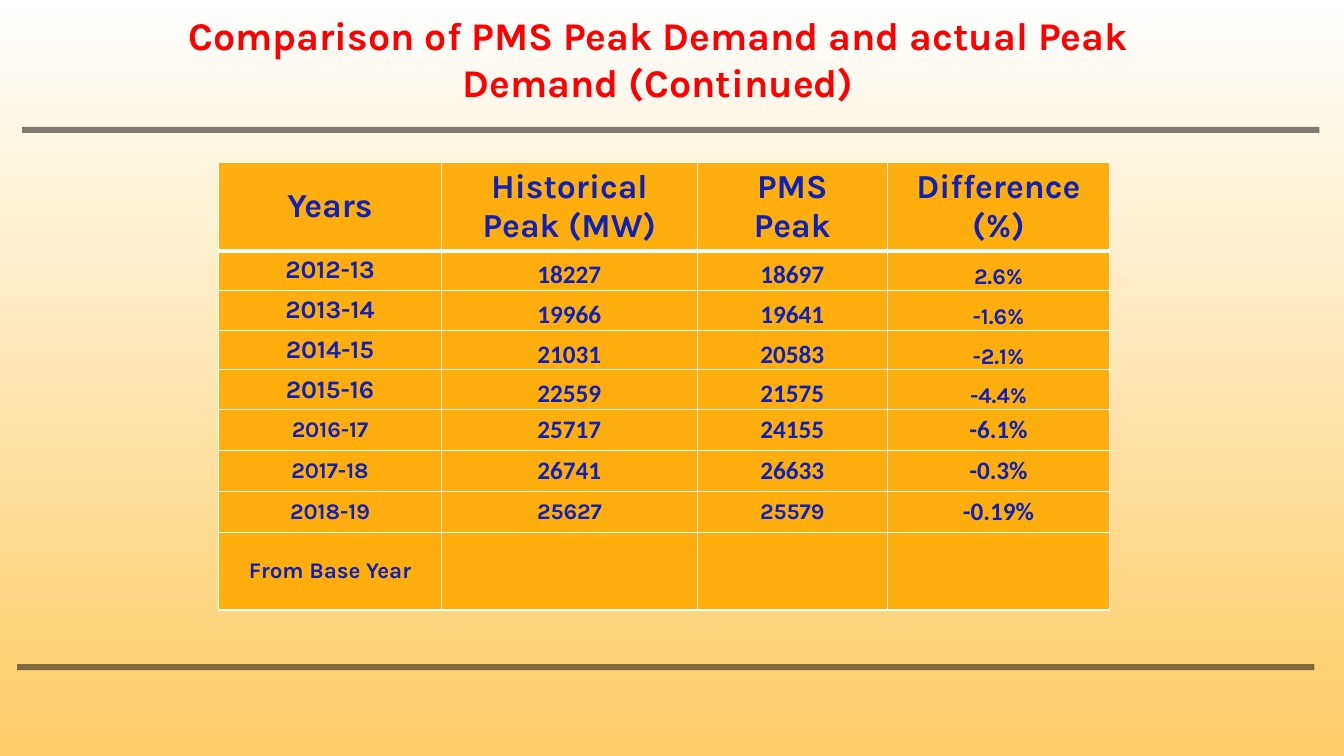
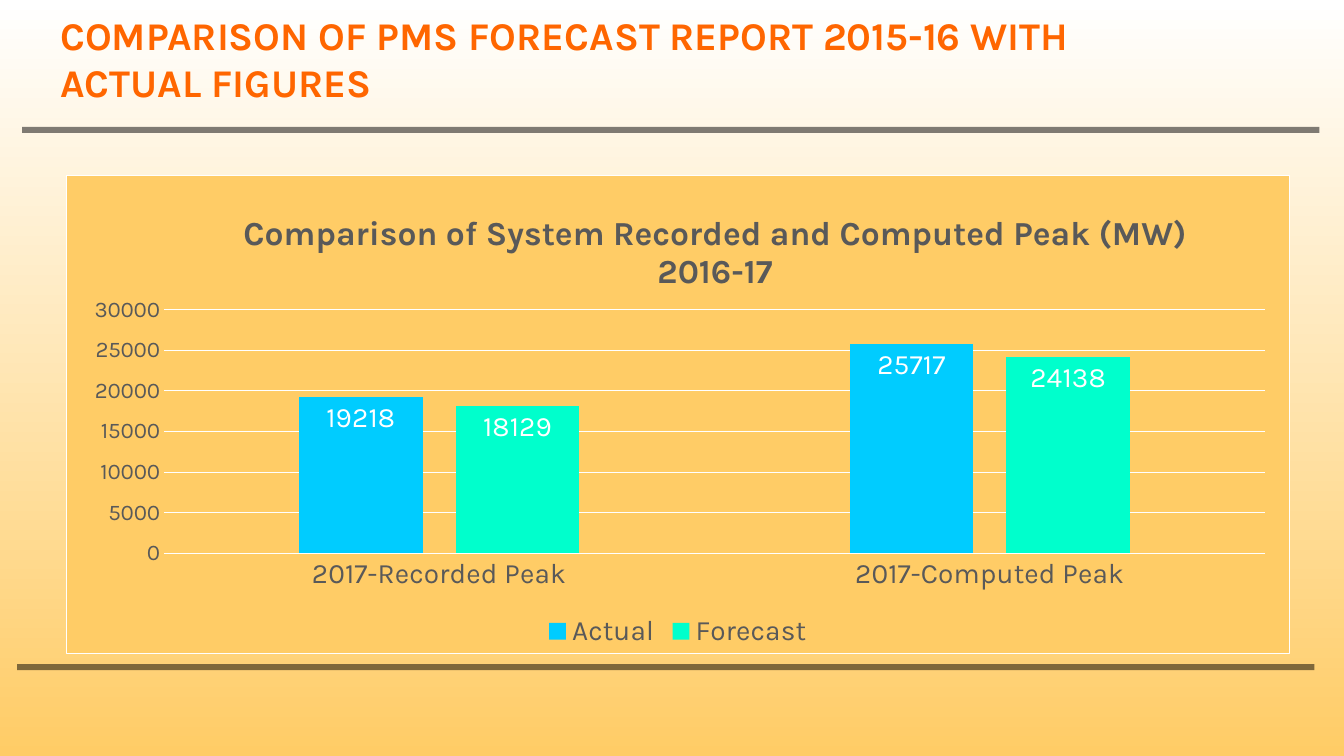
from dataclasses import dataclass

from pptx import Presentation
from pptx.chart.data import CategoryChartData
from pptx.dml.color import RGBColor
from pptx.enum.chart import (XL_CHART_TYPE, XL_LABEL_POSITION,
                             XL_LEGEND_POSITION, XL_TICK_MARK)
from pptx.enum.shapes import MSO_SHAPE
from pptx.enum.text import MSO_ANCHOR, MSO_AUTO_SIZE, PP_ALIGN
from pptx.oxml import parse_xml
from pptx.oxml.ns import nsdecls, qn
from pptx.util import Pt


@dataclass(frozen=True)
class Theme:
    font: str = "Karla"
    digit: str = "Calibri"
    white: str = "FFFFFF"
    sand: str = "FFCC66"
    amber: str = "FFAE0D"
    navy: str = "0E22B8"
    red: str = "FF0000"
    orange: str = "FF6600"
    gray: str = "595959"
    black: str = "000000"
    blue: str = "00CCFF"
    mint: str = "00FFCC"
    title: int = 28
    head: int = 24
    label: int = 20
    body: int = 18
    small: int = 16
    base: int = 10


@dataclass(frozen=True)
class Box:
    left: float
    top: float
    width: float
    height: float

    def lengths(self):
        return Pt(self.left), Pt(self.top), Pt(self.width), Pt(self.height)


T = Theme()
RULES = Box(15.84, 90.72, 926.64, 4.32), Box(12.24, 474.48, 926.64, 4.32)
COLS = 159, 183, 135.5, 159
HEADS = "Years", "Historical\nPeak (MW)", "PMS\nPeak", "Difference (%)"
FACES = {"L": (T.font, T.body), "N": (T.digit, T.body), "S": (T.font, T.small)}
ROWS = [
    ("LNNS", 28.4, ("2012-13", "18227", "18697", "2.6%")),
    ("LNNS", 28.4, ("2013-14", "19966", "19641", "-1.6%")),
    ("LNNS", 28.4, ("2014-15", "21031", "20583", "-2.1%")),
    ("LNNS", 28.4, ("2015-16", "22559", "21575", "-4.4%")),
    ("SNNN", 29, ("2016-17", "25717", "24155", "-6.1%")),
    ("SNNN", 29, ("2017-18", "26741", "26633", "-0.3%")),
    ("SSSN", 29, ("2018-19", "25627", "25579", "-0.19%")),
    ("SSSS", 55.6, ("From Base Year", "", "", "")),
]
SERIES = [("Actual", (19218, 25717), T.blue),
          ("Forecast", (18129, 24138), T.mint)]


def rgb(code):
    return RGBColor.from_string(code)


def style(font, size, color, bold=False, face=T.font):
    font.name, font.size, font.bold = face, Pt(size), bold
    font.color.rgb = rgb(color)


def paint(fill, color):
    fill.solid()
    fill.fore_color.rgb = rgb(color)


def add_rule(slide, master, box, num):
    rule = slide.shapes.add_shape(MSO_SHAPE.RECTANGLE, *box.lengths())
    rule.shadow.inherit = False
    rule.line.fill.background()
    paint(rule.fill, T.black)
    tint = rule.element.spPr.find(".//" + qn("a:srgbClr"))
    tint.append(parse_xml(f'<a:alpha {nsdecls("a")} val="50000"/>'))
    rule.element.find(".//" + qn("p:cNvPr")).set("id", str(num))
    master.shapes.element.insert(2, rule.element)


def set_master(slide, master):
    fill = master.background.fill
    fill.gradient()
    fill.gradient_angle = 270
    for stop, color, place in zip(fill.gradient_stops, (T.white, T.sand), (0, 1)):
        stop.color.rgb = rgb(color)
        stop.position = place
    for num, box in enumerate(RULES, 101):
        add_rule(slide, master, box, num)


def set_title(slide, box, text, color, align, anchor):
    title = slide.shapes.title
    title.left, title.top, title.width, title.height = box.lengths()
    frame = title.text_frame
    frame.text = text
    frame.word_wrap = True
    frame.auto_size = MSO_AUTO_SIZE.NONE
    frame.vertical_anchor = anchor
    para = frame.paragraphs[0]
    para.alignment = align
    style(para.runs[0].font, T.title, color, True)


def set_edges(cell, top, base):
    props = cell._tc.get_or_add_tcPr()
    for spot, (side, width) in enumerate(zip("LRTB", (1, 1, top, base))):
        props.insert(spot, parse_xml(
            f'<a:ln{side} {nsdecls("a")} w="{int(Pt(width))}"><a:solidFill>'
            f'<a:srgbClr val="{T.white}"/></a:solidFill></a:ln{side}>'))


def set_cell(cell, text, face, size):
    paint(cell.fill, T.amber)
    cell.vertical_anchor = MSO_ANCHOR.MIDDLE
    cell.text_frame.text = text
    for para in cell.text_frame.paragraphs:
        para.alignment = PP_ALIGN.CENTER
        style(para.font, size, T.navy, True, face)
        for run in para.runs:
            style(run.font, size, T.navy, True, face)


def add_grid(slide, box):
    grid = slide.shapes.add_table(len(ROWS) + 1, len(COLS), *box.lengths()).table
    grid.horz_banding = False
    for col, width in zip(grid.columns, COLS):
        col.width = Pt(width)
    grid.rows[0].height = Pt(62.8)
    for col, text in enumerate(HEADS):
        cell = grid.cell(0, col)
        set_cell(cell, text, T.font, T.head)
        set_edges(cell, 1, 3)
    for row, (kinds, height, texts) in enumerate(ROWS, 1):
        grid.rows[row].height = Pt(height)
        for col, (kind, text) in enumerate(zip(kinds, texts)):
            cell = grid.cell(row, col)
            set_cell(cell, text, *FACES[kind])
            set_edges(cell, 3 if row == 1 else 1, 1)
            if kinds == "LNNS" and col:
                cell.vertical_anchor = MSO_ANCHOR.BOTTOM
                cell.margin_left = cell.margin_right = cell.margin_top = Pt(0.72)
                cell.margin_bottom = Pt(0)


def set_layout(node, spot, inner=False, **parts):
    for old in node.findall(qn("c:layout")):
        node.remove(old)
    target = '<c:layoutTarget val="inner"/>' if inner else ""
    modes = "".join(f'<c:{key}Mode val="edge"/>' for key in "xy")
    sizes = "".join(f'<c:{key} val="{val}"/>' for key, val in parts.items())
    node.insert(spot, parse_xml(
        f'<c:layout {nsdecls("c")}><c:manualLayout>{target}{modes}{sizes}'
        '</c:manualLayout></c:layout>'))


def set_frame(chart):
    solid = '<a:solidFill><a:srgbClr val="{}"/></a:solidFill>'
    chart.element.find(qn("c:chart")).addnext(parse_xml(
        f'<c:spPr {nsdecls("c", "a")}>{solid.format(T.sand)}'
        f'<a:ln w="{int(Pt(0.75))}">{solid.format(T.white)}</a:ln></c:spPr>'))


def set_line(line):
    line.width = Pt(0.75)
    paint(line.fill, T.white)


def set_axes(chart):
    cats, vals = chart.category_axis, chart.value_axis
    for axis, size in ((cats, T.label), (vals, T.small)):
        axis.major_tick_mark = axis.minor_tick_mark = XL_TICK_MARK.NONE
        style(axis.tick_labels.font, size, T.gray)
    set_line(cats.format.line)
    vals.minimum_scale, vals.maximum_scale, vals.major_unit = 0, 30000, 5000
    vals.format.line.fill.background()
    vals.has_major_gridlines = True
    set_line(vals.major_gridlines.format.line)


def set_bars(chart):
    plot = chart.plots[0]
    plot.gap_width, plot.overlap, plot.vary_by_categories = 219, -27, False
    for bar, (name, vals, color) in zip(plot.series, SERIES):
        paint(bar.format.fill, color)
        labels = bar.data_labels
        labels.show_value = True
        labels.position = XL_LABEL_POSITION.INSIDE_END
        style(labels.font, T.label, T.white)


def add_bars(slide, box):
    data = CategoryChartData()
    data.categories = "2017-Recorded Peak", "2017-Computed Peak"
    for name, vals, color in SERIES:
        data.add_series(name, vals)
    chart = slide.shapes.add_chart(
        XL_CHART_TYPE.COLUMN_CLUSTERED, *box.lengths(), data).chart
    style(chart.font, T.base, T.white)
    set_frame(chart)
    chart.has_title = True
    frame = chart.chart_title.text_frame
    frame.text = "Comparison of System Recorded and Computed Peak (MW) 2016-17"
    style(frame.paragraphs[0].runs[0].font, T.head, T.gray, True)
    set_layout(chart.chart_title.element, 1, x=0.14, y=0.06)
    area = chart.element.find(".//" + qn("c:plotArea"))
    set_layout(area, 0, True, x=0.08, y=0.28, w=0.9, h=0.51)
    chart.has_legend = True
    chart.legend.position = XL_LEGEND_POSITION.BOTTOM
    chart.legend.include_in_layout = False
    style(chart.legend.font, T.label, T.gray)
    set_axes(chart)
    set_bars(chart)


def main():
    deck = Presentation()
    deck.slide_width, deck.slide_height = Pt(960), Pt(540)
    layout = deck.slide_layouts[5]
    first, second = (deck.slides.add_slide(layout) for _ in range(2))
    set_master(first, deck.slide_master)
    set_title(first, Box(74.16, 4.32, 792, 74.88),
              "Comparison of PMS Peak Demand and actual Peak Demand (Continued)",
              T.red, PP_ALIGN.CENTER, MSO_ANCHOR.TOP)
    add_grid(first, Box(156.24, 115.92, 636.5, 320))
    set_title(second, Box(36, -0.72, 779.76, 84.96),
              "COMPARISON OF PMS FORECAST REPORT 2015-16 WITH ACTUAL FIGURES",
              T.orange, PP_ALIGN.LEFT, MSO_ANCHOR.MIDDLE)
    add_bars(second, Box(46.8, 125.28, 874.8, 342))
    deck.save("out.pptx")


if __name__ == "__main__":
    main()
